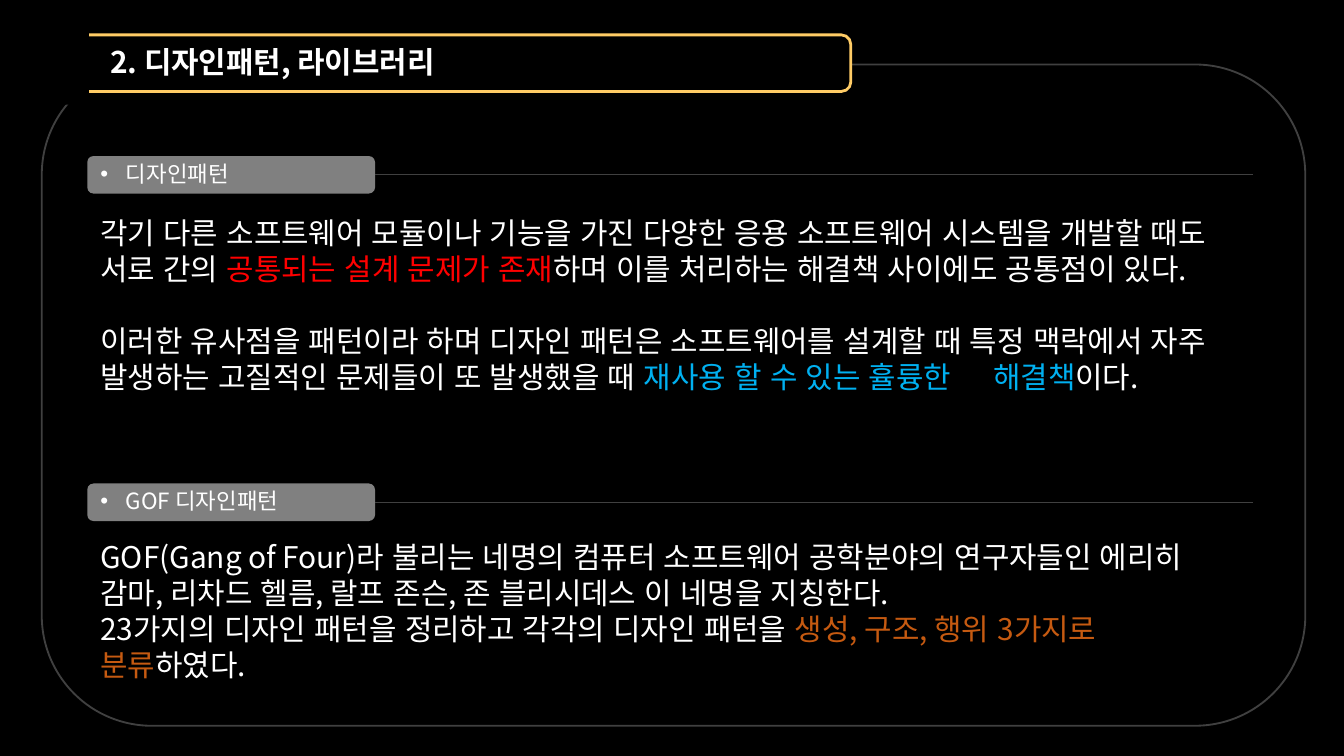
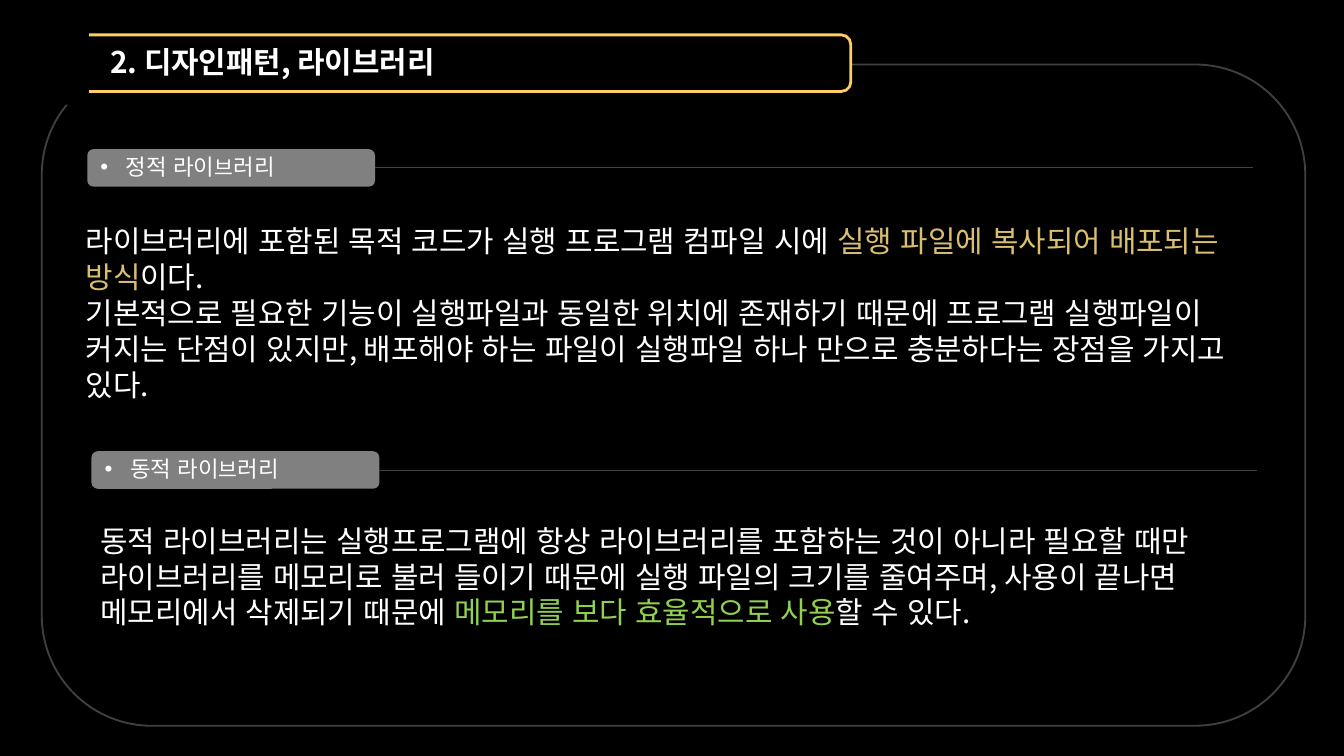
"""Builds two dark slides on design patterns and libraries."""
from lxml import etree
from pptx import Presentation
from pptx.dml.color import RGBColor
from pptx.enum import lang, shapes, text
from pptx.oxml import ns
from pptx.util import Cm, Pt

FONT = "Noto Sans CJK KR"
BLACK = RGBColor(0x00, 0x00, 0x00)
WHITE = RGBColor(0xFF, 0xFF, 0xFF)
CHARCOAL = RGBColor(0x40, 0x40, 0x40)
GRAY = RGBColor(0x80, 0x80, 0x80)
AMBER = RGBColor(0xFF, 0xCC, 0x66)
RED = RGBColor(0xFF, 0x00, 0x00)
BLUE = RGBColor(0x00, 0xB0, 0xF0)
ORANGE = RGBColor(0xC5, 0x5A, 0x11)
GOLD = RGBColor(0xD9, 0xBE, 0x6F)
GREEN = RGBColor(0x92, 0xD0, 0x50)

TITLE = "2. 디자인패턴, 라이브러리"
LINE_FACTOR = 1.2
BADGE_WIDTH, BADGE_HEIGHT = 5.44, 0.71
RULE_LENGTH = 16.59

SLIDES = [
    [
        {
            "badge": (1.65, 2.95),
            "heading": ["디자인패턴"],
            "body_box": (1.65, 3.94, 21.77, 5.74),
            "gap": 19.2,
            "body": [
                ["각기 다른 소프트웨어 모듈이나 기능을 가진 다양한 응용 소프트웨어 시스템을 개발할 때도 서로 간의 ",
                 ("공통되는 설계 문제가 존재", {"color": RED}),
                 "하며 이를 처리하는 해결책 사이에도 공통점이 있다."],
                ["이러한 유사점을 패턴이라 하며 디자인 패턴은 소프트웨어를 설계할 때 특정 맥락에서 자주 "
                 "발생하는 고질적인 문제들이 또 발생했을 때 ",
                 ("재사용 할 수 있는 휼륭한", {"color": BLUE}),
                 (" ", {"color": BLUE, "tracking": 18}),
                 ("해결책", {"color": BLUE}),
                 "이다."],
            ],
        },
        {
            "badge": (1.65, 9.14),
            "heading": ["GOF 디자인패턴"],
            "body_box": (1.65, 10.06, 21.77, 3),
            "body": [
                ["GOF(Gang of Four)라 불리는 네명의 컴퓨터 소프트웨어 공학분야의 연구자들인 에리히 감마, "
                 "리차드 헬름, 랄프 존슨, 존 블리시데스 이 네명을 지칭한다."],
                ["23가지의 디자인 패턴을 정리하고 각각의 디자인 패턴을 ",
                 ("생성, 구조, 행위 3가지로 분류", {"color": ORANGE}),
                 "하였다."],
            ],
        },
    ],
    [
        {
            "badge": (1.65, 2.82),
            "heading": ["정적 라이", ("브", {"size": 11}), "러리"],
            "body_box": (1.37, 4.09, 22.05, 3.68),
            "body": [
                ["라이브러리에 포함된 목적 코드가 실행 프로그램 컴파일 시에 ",
                 ("실행 파일에 복사되어 배포되는 방식", {"color": GOLD}),
                 "이다."],
                ["기본적으로 필요한 기능이 실행파일과 동일한 위치에 존재하기 때문에 프로그램 실행파일이 "
                 "커지는 단점이 있지만, 배포해야 하는 파일이 실행파일 하나 만으로 충분하다는 장점을 가지고 있다."],
            ],
        },
        {
            "badge": (1.73, 8.53),
            "heading": ["동적 라이", ("브", {"size": 11}), "러리"],
            "body_box": (1.65, 9.75, 22.35, 2.31),
            "body": [
                ["동적 라이브러리는 실행프로그램에 항상 라이브러리를 포함하는 것이 아니라 필요할 때만 "
                 "라이브러리를 메모리로 불러 들이기 때문에 실행 파일의 크기를 줄여주며, 사용이 끝나면 "
                 "메모리에서 삭제되기 때문에 ",
                 ("메모리를 보다 효율적으로 사용", {"color": GREEN}),
                 "할 수 있다."],
            ],
        },
    ],
]


def add_run(paragraph, words, size, bold=False, color=WHITE, tracking=0):
    run = paragraph.add_run()
    run.text = words
    font = run.font
    font.name, font.size, font.bold = FONT, Pt(size), bold
    font.color.rgb = color
    font.language_id = lang.MSO_LANGUAGE_ID.KOREAN
    properties = run._r.get_or_add_rPr()
    etree.SubElement(properties, ns.qn("a:ea"), typeface=FONT)
    if tracking:
        properties.set("spc", str(tracking * 100))


def add_text(slide, box, paragraphs, size=16, bold=False, bullet=False, gap=0):
    frame = slide.shapes.add_textbox(*map(Cm, box)).text_frame
    frame.word_wrap = True
    frame.vertical_anchor = text.MSO_ANCHOR.TOP
    for index, pieces in enumerate(paragraphs):
        paragraph = frame.add_paragraph() if index else frame.paragraphs[0]
        paragraph.line_spacing = Pt(size * LINE_FACTOR)
        if index:
            paragraph.space_before = Pt(gap)
        if bullet:
            properties = paragraph._p.get_or_add_pPr()
            properties.set("marL", str(Cm(0.48)))
            properties.set("indent", str(-Cm(0.48)))
            etree.SubElement(properties, ns.qn("a:buFont"), typeface="Arial")
            etree.SubElement(properties, ns.qn("a:buChar"), char="•")
        for piece in pieces:
            words, style = (piece, {}) if isinstance(piece, str) else piece
            add_run(paragraph, words, **{"size": size, "bold": bold, **style})


def add_panel(slide, box, fill=None, line=None, width=1,
              kind=shapes.MSO_SHAPE.ROUNDED_RECTANGLE):
    panel = slide.shapes.add_shape(kind, *map(Cm, box))
    panel.shadow.inherit = False
    if fill is None:
        panel.fill.background()
    else:
        panel.fill.solid()
        panel.fill.fore_color.rgb = fill
    if line is None:
        panel.line.fill.background()
    else:
        panel.line.color.rgb = line
        panel.line.width = Pt(width)
    return panel


def add_frame(slide):
    slide.background.fill.solid()
    slide.background.fill.fore_color.rgb = BLACK
    add_panel(slide, (0.79, 1.22, 23.88, 12.5), line=CHARCOAL)
    add_panel(slide, (1.37, 0.66, 14.71, 1.07), BLACK, AMBER, 1.5)
    add_panel(slide, (0.97, 0.41, 0.71, 1.57), BLACK,
              kind=shapes.MSO_SHAPE.RECTANGLE)
    add_text(slide, (1.83, 0.71, 9.68, 0.94), [[TITLE]], bold=True)


def add_section(slide, section):
    left, top = section["badge"]
    badge = add_panel(slide, (left, top, BADGE_WIDTH, BADGE_HEIGHT), GRAY)
    start, middle = left + BADGE_WIDTH, top + BADGE_HEIGHT / 2
    rule = slide.shapes.add_connector(
        shapes.MSO_CONNECTOR.STRAIGHT, Cm(start), Cm(middle),
        Cm(start + RULE_LENGTH), Cm(middle))
    rule.begin_connect(badge, 3)
    rule.end_y = rule.begin_y
    rule.line.color.rgb = CHARCOAL
    rule.line.width = Pt(0.5)
    etree.SubElement(rule._element.spPr, ns.qn("a:effectLst"))
    add_text(slide, (left, top - 0.05, BADGE_WIDTH, 0.76),
             [section["heading"]], size=12, bullet=True)
    add_text(slide, section["body_box"], section["body"],
             gap=section.get("gap", 0))


def main():
    deck = Presentation()
    deck.slide_width, deck.slide_height = Cm(25.4), Cm(14.29)
    for sections in SLIDES:
        slide = deck.slides.add_slide(deck.slide_layouts[6])
        add_frame(slide)
        for section in sections:
            add_section(slide, section)
    deck.save("out.pptx")


if __name__ == "__main__":
    main()
